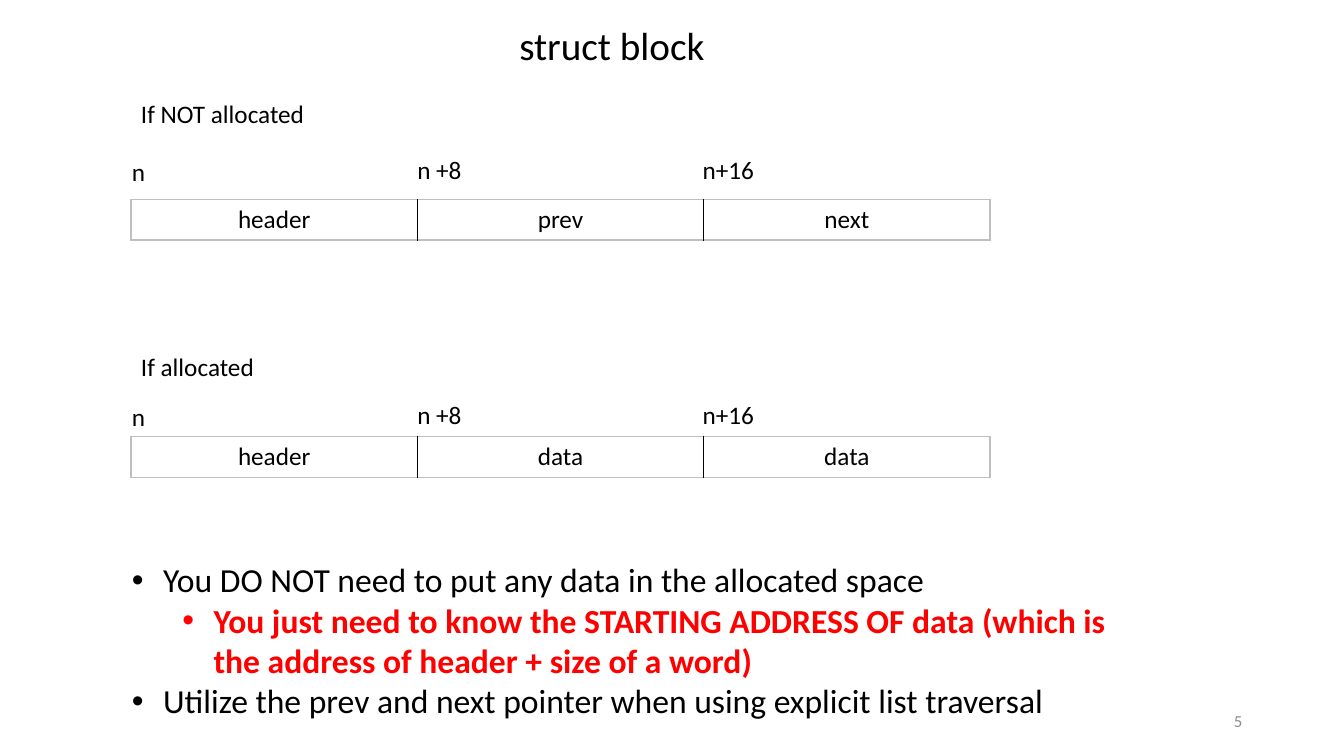
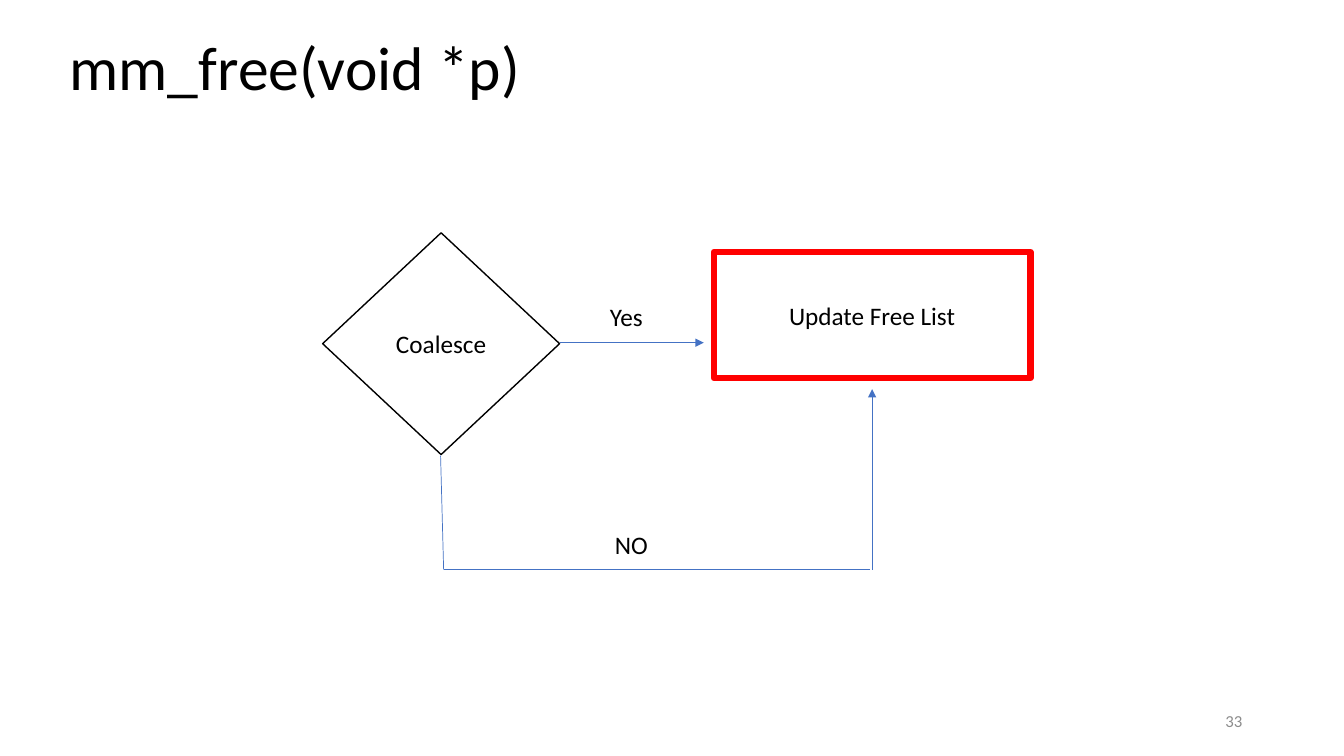
from lxml import etree
from pptx import Presentation
from pptx import util as u
from pptx.dml.color import RGBColor
from pptx.enum import shapes, text
from pptx.oxml.ns import qn

PX = 9144  # EMU per px, 100 px to the inch
FONT = "Calibri"
COLORS = {
    "ink": "000000",
    "paper": "FFFFFF",
    "alert": "FF0000",
    "arrow": "4472C4",
    "frame": "BFBFBF",
    "number": "8C8C8C",
}


def rgb(name):
    return RGBColor.from_string(COLORS[name])


class Slides:
    """Holds the deck, its style and the current slide."""

    def __init__(self):
        self.deck = Presentation()
        self.deck.slide_width = 1333 * PX
        self.deck.slide_height = 750 * PX
        self.page = None

    def add_page(self, number):
        self.page = self.deck.slides.add_slide(self.deck.slide_layouts[5])
        self.text(number, 942, 695, 300, 40, size=12, color="number",
                  align=text.PP_ALIGN.RIGHT, anchor=text.MSO_ANCHOR.MIDDLE)

    def style(self, para, size=18, color="ink", bold=False,
              align=text.PP_ALIGN.LEFT):
        para.alignment = align
        para.font.name = FONT
        para.font.size = u.Pt(size)
        para.font.bold = bold
        para.font.color.rgb = rgb(color)

    def title(self, words, left, top, width, height, size, anchor, spacing):
        box = self.page.shapes.title
        box.left, box.top = left * PX, top * PX
        box.width, box.height = width * PX, height * PX
        frame = box.text_frame
        frame.text = words
        frame.word_wrap = True
        frame.auto_size = text.MSO_AUTO_SIZE.NONE
        frame.vertical_anchor = anchor
        frame.paragraphs[0].line_spacing = spacing
        self.style(frame.paragraphs[0], size)

    def frame(self, left, top, width, height):
        box = self.page.shapes.add_textbox(
            left * PX, top * PX, width * PX, height * PX)
        box.text_frame.word_wrap = True
        return box.text_frame

    def text(self, words, left, top, width, height=40,
             anchor=text.MSO_ANCHOR.TOP, **look):
        frame = self.frame(left, top, width, height)
        frame.text = words
        frame.vertical_anchor = anchor
        self.style(frame.paragraphs[0], **look)

    def bullets(self, items, left, top, width, height):
        frame = self.frame(left, top, width, height)
        for index, (level, words, look) in enumerate(items):
            para = frame.add_paragraph() if index else frame.paragraphs[0]
            para.text = words
            para.level = level
            props = para._p.get_or_add_pPr()
            props.set("marL", str((31 + 50 * level) * PX))
            props.set("indent", str(-31 * PX))
            etree.SubElement(props, qn("a:buFont"), typeface="Arial")
            etree.SubElement(props, qn("a:buChar"), char="•")
            self.style(para, size=24, **look)

    def border(self, cell, side, color):
        line = etree.SubElement(cell._tc.get_or_add_tcPr(), qn("a:" + side),
                                w=str(u.Pt(1)))
        fill = etree.SubElement(line, qn("a:solidFill"))
        etree.SubElement(fill, qn("a:srgbClr"), val=COLORS[color])

    def table(self, words, left, top, column, height):
        count = len(words)
        table = self.page.shapes.add_table(
            1, count, left * PX, top * PX,
            count * column * PX, height * PX).table
        table.first_row = table.horz_banding = False
        for index, word in enumerate(words):
            table.columns[index].width = column * PX
            cell = table.cell(0, index)
            cell.text = word
            cell.vertical_anchor = text.MSO_ANCHOR.MIDDLE
            self.style(cell.text_frame.paragraphs[0],
                       align=text.PP_ALIGN.CENTER)
            self.border(cell, "lnL", "ink" if index else "frame")
            self.border(cell, "lnR", "ink" if index < count - 1 else "frame")
            self.border(cell, "lnT", "frame")
            self.border(cell, "lnB", "frame")
            cell.fill.background()

    def shape(self, kind, words, left, top, width, height, line, weight):
        shape = self.page.shapes.add_shape(
            kind, left * PX, top * PX, width * PX, height * PX)
        shape.shadow.inherit = False
        shape.fill.solid()
        shape.fill.fore_color.rgb = rgb("paper")
        shape.line.color.rgb = rgb(line)
        shape.line.width = u.Pt(weight)
        shape.text_frame.text = words
        shape.text_frame.vertical_anchor = text.MSO_ANCHOR.MIDDLE
        self.style(shape.text_frame.paragraphs[0],
                   align=text.PP_ALIGN.CENTER)

    def line(self, start, end, arrow=False):
        line = self.page.shapes.add_connector(
            shapes.MSO_CONNECTOR.STRAIGHT,
            *(length * PX for length in start + end))
        line.line.color.rgb = rgb("arrow")
        line.line.width = u.Pt(0.5)
        if arrow:
            etree.SubElement(line.line._get_or_add_ln(), qn("a:tailEnd"),
                             type="triangle")
        etree.SubElement(line._element.spPr, qn("a:effectLst"))


def block_slide(slides):
    slides.add_page("5")
    slides.title("struct block", 505, 16, 231, 57, 28,
                 text.MSO_ANCHOR.TOP, 1.0)

    # The two block layouts: heading, word addresses, fields
    column = 284
    blocks = [
        ("If NOT allocated", 93, 148, 198, 40, ["header", "prev", "next"]),
        ("If allocated", 344, 391, 433, 41, ["header", "data", "data"]),
    ]
    addresses = [("n", 2, 42), ("n +8", 0, 71), ("n+16", 0, 85)]
    for heading, heading_top, address_top, top, height, fields in blocks:
        slides.text(heading, 130, heading_top, 386)
        for index, (address, drop, width) in enumerate(addresses):
            slides.text(address, 121 + index * (column - 1),
                        address_top + drop, width)
        slides.table(fields, 130, top, column, height)

    # Advice
    slides.bullets([
        (0, "You DO NOT need to put any data in the allocated space", {}),
        (1, "You just need to know the STARTING ADDRESS OF data (which is "
            "the address of header + size of a word)",
         {"color": "alert", "bold": True}),
        (0, "Utilize the prev and next pointer when using explicit list "
            "traversal", {}),
    ], 121, 550, 999, 172)


def free_slide(slides):
    slides.add_page("33")
    slides.title("mm_free(void *p)", 59, -2, 1150, 145, 44,
                 text.MSO_ANCHOR.MIDDLE, 0.9)

    # Decision and its two branches
    slides.shape(shapes.MSO_SHAPE.DIAMOND, "Coalesce",
                 320, 231, 235, 220, "ink", 1)
    slides.line((555, 340), (698, 340), arrow=True)
    slides.text("Yes", 595, 294, 91)
    slides.line((437, 452), (440, 565))
    slides.line((440, 565), (863, 565))
    slides.line((865, 565), (865, 386), arrow=True)
    slides.text("NO", 600, 520, 54)

    # Outcome
    slides.shape(shapes.MSO_SHAPE.RECTANGLE, "Update Free List",
                 708, 250, 314, 125, "alert", 4.5)


def main():
    slides = Slides()
    block_slide(slides)
    free_slide(slides)
    slides.deck.save("out.pptx")


if __name__ == "__main__":
    main()
